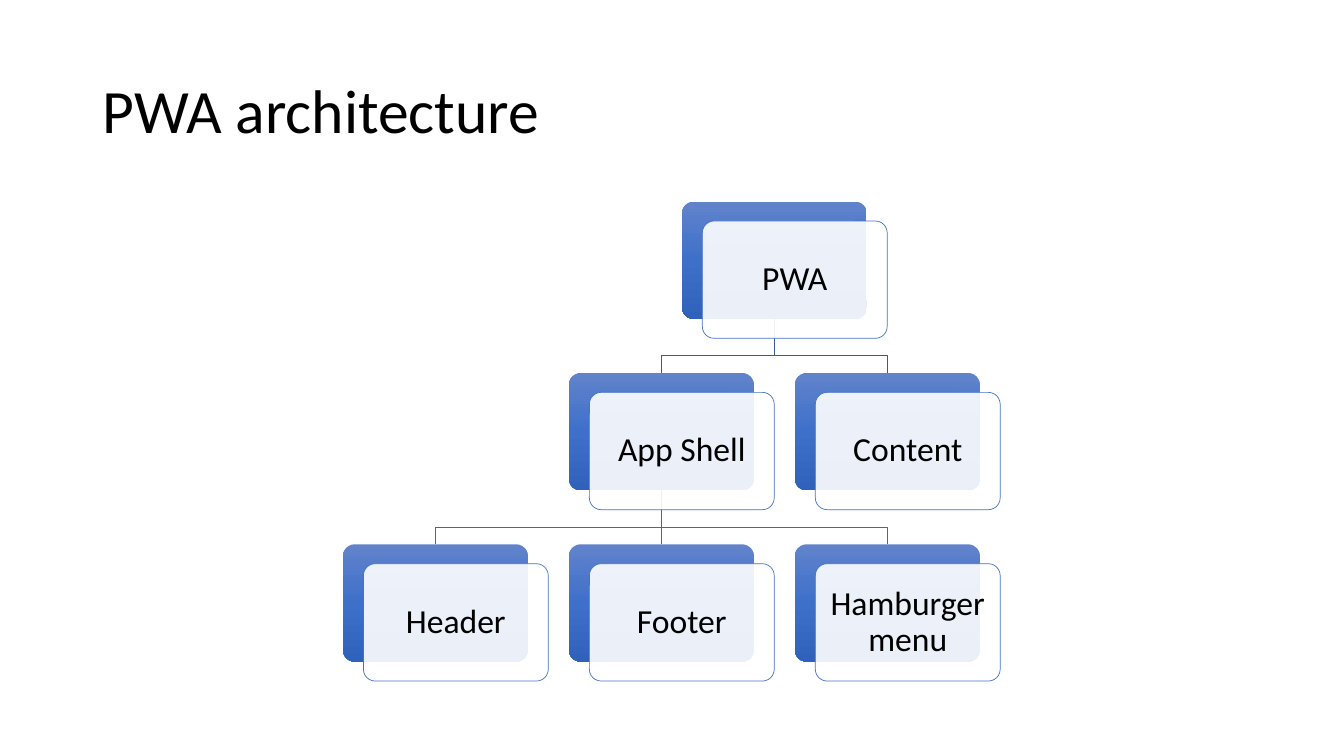
import copy
from dataclasses import dataclass
from typing import Optional

import lxml.etree
import pptx
import pptx.dml.color
import pptx.enum.shapes
import pptx.enum.text
import pptx.oxml.ns
import pptx.shapes.autoshape
import pptx.shapes.base
import pptx.slide
import pptx.text.text
import pptx.util

BLACK = pptx.dml.color.RGBColor(0x00, 0x00, 0x00)
WHITE = pptx.dml.color.RGBColor(0xFF, 0xFF, 0xFF)
CARD_LINE = pptx.dml.color.RGBColor(0x44, 0x72, 0xC4)
UPPER_LINK = pptx.dml.color.RGBColor(0x36, 0x5B, 0x9D)
LOWER_LINK = pptx.dml.color.RGBColor(0x3E, 0x67, 0xB2)
GRADIENT = (
    pptx.dml.color.RGBColor(0x61, 0x83, 0xCB),
    pptx.dml.color.RGBColor(0x3E, 0x70, 0xCA),
    pptx.dml.color.RGBColor(0x30, 0x62, 0xBB),
)
LINK_COLORS = {1: UPPER_LINK, 2: LOWER_LINK}

FONT = "Calibri"
TREE_LEFT, TREE_TOP = 245, 144
COLUMN_STEP, ROW_STEP = 161.4, 122.4
BOX_WIDTH, BOX_HEIGHT = 132, 83.8
CARD_SHIFT_X, CARD_SHIFT_Y = 14.6, 13.9
BEND_GAP = 12.4
INSET = 7.2


@dataclass(frozen=True)
class Node:
    label: str
    column: float
    row: int
    parent: Optional["Node"] = None

    @property
    def left(self) -> float:
        return TREE_LEFT + self.column * COLUMN_STEP

    @property
    def top(self) -> float:
        return TREE_TOP + self.row * ROW_STEP

    @property
    def center(self) -> float:
        return self.left + BOX_WIDTH / 2

    @property
    def bottom(self) -> float:
        return self.top + BOX_HEIGHT


PWA = Node("PWA", 1.5, 0)
APP_SHELL = Node("App Shell", 1, 1, PWA)
NODES = (
    PWA,
    APP_SHELL,
    Node("Header", 0, 2, APP_SHELL),
    Node("Footer", 1, 2, APP_SHELL),
    Node("Hamburger menu", 2, 2, APP_SHELL),
    Node("Content", 2, 1, PWA),
)


def format_text(frame: pptx.text.text.TextFrame, text: str, size: float,
                alignment: pptx.enum.text.PP_ALIGN) -> None:
    frame.text = text
    frame.word_wrap = True
    frame.auto_size = pptx.enum.text.MSO_AUTO_SIZE.NONE
    frame.vertical_anchor = pptx.enum.text.MSO_ANCHOR.MIDDLE
    paragraph = frame.paragraphs[0]
    paragraph.alignment = alignment
    paragraph.line_spacing = 0.9
    paragraph.font.name = FONT
    paragraph.font.size = pptx.util.Pt(size)
    paragraph.font.color.rgb = BLACK


def add_title(slide: pptx.slide.Slide, text: str) -> None:
    title = slide.shapes.title
    title.left, title.top = pptx.util.Pt(66), pptx.util.Pt(28.8)
    title.width, title.height = pptx.util.Pt(828), pptx.util.Pt(104.4)
    format_text(title.text_frame, text, 44, pptx.enum.text.PP_ALIGN.LEFT)


def add_link(slide: pptx.slide.Slide, parent: Node, child: Node) -> None:
    point = pptx.util.Pt
    if parent.center == child.center:
        link = slide.shapes.add_connector(
            pptx.enum.shapes.MSO_CONNECTOR.STRAIGHT,
            point(parent.center), point(parent.bottom),
            point(child.center), point(child.top))
        lxml.etree.SubElement(link._element.spPr, pptx.oxml.ns.qn("a:effectLst"))
    else:
        bend = child.top - BEND_GAP
        builder = slide.shapes.build_freeform(point(parent.center), point(parent.bottom))
        builder.add_line_segments([
            (point(parent.center), point(bend)),
            (point(child.center), point(bend)),
            (point(child.center), point(child.top)),
        ], close=False)
        link = builder.convert_to_shape()
        link.fill.background()
        link.shadow.inherit = False
    link.line.color.rgb = LINK_COLORS[child.row]
    link.line.width = point(0.5)


def add_rounded_box(slide: pptx.slide.Slide, left: float,
                    top: float) -> pptx.shapes.autoshape.Shape:
    shape = slide.shapes.add_shape(
        pptx.enum.shapes.MSO_SHAPE.ROUNDED_RECTANGLE,
        pptx.util.Pt(left), pptx.util.Pt(top),
        pptx.util.Pt(BOX_WIDTH), pptx.util.Pt(BOX_HEIGHT))
    shape.adjustments[0] = 0.1
    shape.shadow.inherit = False
    return shape


def fill_gradient(shape: pptx.shapes.autoshape.Shape) -> None:
    shape.fill.gradient()
    shape.fill.gradient_angle = 270
    stop_list = shape._element.spPr.find(".//" + pptx.oxml.ns.qn("a:gsLst"))
    stop_list.insert(1, copy.deepcopy(stop_list[0]))
    for index, (stop, color) in enumerate(zip(shape.fill.gradient_stops, GRADIENT)):
        stop.position = index / 2
        stop.color.rgb = color


def add_node(slide: pptx.slide.Slide, node: Node) -> None:
    backing = add_rounded_box(slide, node.left, node.top)
    fill_gradient(backing)
    backing.line.fill.background()

    card = add_rounded_box(slide, node.left + CARD_SHIFT_X, node.top + CARD_SHIFT_Y)
    card.fill.solid()
    card.fill.fore_color.rgb = WHITE
    color = card._element.spPr.find(".//" + pptx.oxml.ns.qn("a:srgbClr"))
    lxml.etree.SubElement(color, pptx.oxml.ns.qn("a:alpha"), val="90000")
    card.line.color.rgb = CARD_LINE
    card.line.width = pptx.util.Pt(0.5)
    frame = card.text_frame
    frame.margin_left = frame.margin_right = pptx.util.Pt(INSET)
    frame.margin_top = frame.margin_bottom = pptx.util.Pt(INSET)
    format_text(frame, node.label, 24, pptx.enum.text.PP_ALIGN.CENTER)


presentation = pptx.Presentation()
presentation.slide_width = pptx.util.Pt(960)
presentation.slide_height = pptx.util.Pt(540)
slide = presentation.slides.add_slide(presentation.slide_layouts.get_by_name("Title Only"))
add_title(slide, "PWA architecture")
for node in NODES:
    if node.parent:
        add_link(slide, node.parent, node)
for node in NODES:
    add_node(slide, node)
presentation.save("out.pptx")
